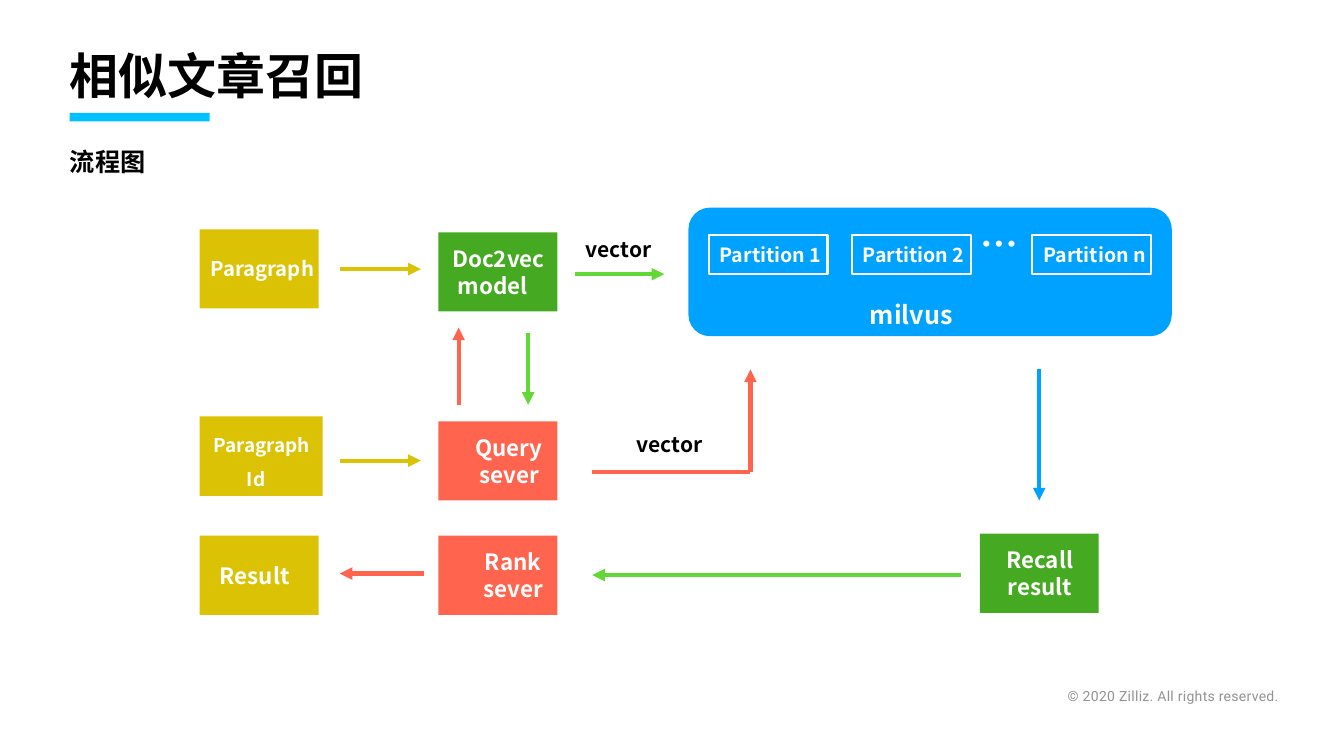
"""Draw the flow chart of similar article recall on an 80 by 45 grid."""
from dataclasses import dataclass

from lxml.etree import SubElement as Sub
from pptx import Presentation as Deck
from pptx.dml.color import RGBColor as Rgb
from pptx.enum.shapes import MSO_CONNECTOR as Link, MSO_SHAPE as Kind
from pptx.enum.text import MSO_ANCHOR as Anchor, PP_ALIGN as Align
from pptx.oxml.ns import qn
from pptx.util import Inches, Pt

WIDE, HIGH = Inches(26.67), Inches(15)
COLS, ROWS = 80, 45
FONT = "Noto Sans CJK SC"
HUES = {
    "black": "000000", "white": "FFFFFF", "grey": "929292", "cyan": "00C1FF",
    "blue": "00A2FF", "gold": "DCC205", "green": "45AA21", "lime": "61D836",
    "red": "FF644E",
}
CARD_W, CARD_H = 7.08, 4.71
LEFT, MID = 11.88, 26.1
PAD = 0.18
DENT = 0.66


@dataclass(frozen=True)
class Box:
    left: float
    top: float
    wide: float = CARD_W
    high: float = CARD_H


@dataclass(frozen=True)
class Type:
    size: float
    hue: str = "white"
    align: Align = Align.CENTER
    dent: float = 0
    pitch: float = 0
    wrap: bool = True
    pads: tuple[float, float] = (PAD, PAD)
    bold: bool = True
    font: str = FONT


@dataclass(frozen=True)
class Card:
    text: str
    box: Box
    hue: str
    type: Type
    edge: bool = False


@dataclass(frozen=True)
class Label:
    text: str
    box: Box
    type: Type


@dataclass(frozen=True)
class Arrow:
    start: tuple[float, float]
    end: tuple[float, float]
    hue: str
    head: bool = True


def col(num: float) -> int:
    return round(num * WIDE / COLS)


def row(num: float) -> int:
    return round(num * HIGH / ROWS)


def place(box: Box) -> tuple[int, int, int, int]:
    return col(box.left), row(box.top), col(box.wide), row(box.high)


def tint(name: str) -> Rgb:
    return Rgb.from_string(HUES[name])


def put(obj: object, form: dict) -> None:
    for key, value in form.items():
        setattr(obj, key, value)


def write(shape, text: str, type: Type, edge: float = 0) -> None:
    frame = shape.text_frame
    put(frame, {
        "word_wrap": type.wrap, "vertical_anchor": Anchor.MIDDLE,
        "margin_left": col(type.pads[0]), "margin_right": col(type.pads[1]),
        "margin_top": row(edge), "margin_bottom": row(edge),
    })
    frame.text = text
    for para in frame.paragraphs:
        para.alignment = type.align
        if type.pitch:
            para.line_spacing = Pt(type.size * type.pitch)
        if type.dent:
            para._p.get_or_add_pPr().set("indent", str(col(type.dent)))
        for run in para.runs:
            put(run.font, {"name": type.font, "size": Pt(type.size), "bold": type.bold})
            run.font.color.rgb = tint(type.hue)
            props = run._r.get_or_add_rPr()
            Sub(props, qn("a:ea")).set("typeface", type.font)


def block(slide, kind: Kind, box: Box, hue: str, edge: bool = False):
    shape = slide.shapes.add_shape(kind, *place(box))
    shape.shadow.inherit = False
    shape.fill.solid()
    shape.fill.fore_color.rgb = tint(hue)
    if edge:
        shape.line.color.rgb = tint("white")
        shape.line.width = Pt(3)
    else:
        shape.line.fill.background()
    return shape


def card(slide, item: Card) -> None:
    write(block(slide, Kind.RECTANGLE, item.box, item.hue, item.edge), item.text, item.type)


def label(slide, item: Label):
    shape = slide.shapes.add_textbox(*place(item.box))
    write(shape, item.text, item.type, PAD)
    return shape


def arrow(slide, item: Arrow) -> None:
    (left, top), (right, low) = item.start, item.end
    line = slide.shapes.add_connector(Link.STRAIGHT, col(left), row(top), col(right), row(low))
    line.line.color.rgb = tint(item.hue)
    line.line.width = Pt(6)
    if item.head:
        Sub(line.line._get_or_add_ln(), qn("a:tailEnd")).set("type", "triangle")
    Sub(line._element.spPr, qn("a:effectLst"))


def node(left: float, right: float) -> Type:
    return Type(32, dent=DENT, pitch=1.2, pads=(left, right))


FLAT = {"align": Align.LEFT, "dent": DENT, "pads": (0, 0)}
PART = Type(28, **FLAT)
NOTE = Type(30, "black", wrap=False)
CARDS = [
    Card("Paragraph", Box(LEFT, 13.65), "gold", Type(29, **FLAT)),
    Card("Paragraph Id", Box(LEFT, 24.78, 7.32, 4.74), "gold",
         Type(27, dent=DENT, pitch=1.8, pads=(0, 0.6))),
    Card("Result", Box(LEFT, 31.89), "gold", Type(32, dent=DENT, pads=(0, 1.17))),
    Card("Doc2vec model", Box(MID, 13.83), "green", node(0, 0.6)),
    Card("Query\nsever", Box(MID, 25.08), "red", node(0.66, 0)),
    Card("Rank\nsever", Box(MID, 31.89), "red", node(1.14, 0)),
    Card("Recall\nresult", Box(58.32, 31.77), "green", node(0, 0.6)),
] + [
    Card(f"Partition {name}", Box(left, 14.01, CARD_W, 2.31), "blue", PART, True)
    for name, left in (("1", 42.18), ("2", 50.7), ("n", 61.44))
]
LABELS = [
    Label("相似文章召回", Box(3.96, 2.13, 50, 4.71), Type(70, "black", Align.LEFT)),
    Label("流程图", Box(3.96, 8.52, 4.89, 2.16), Type(36, "black", wrap=False)),
    Label("vector", Box(34.62, 13.92, 4.41, 1.86), NOTE),
    Label("vector", Box(37.47, 25.5, 4.77, 1.86), NOTE),
    Label("…", Box(57.51, 12.93, 3.93, 3.06), Type(54, wrap=False)),
    Label("milvus", Box(51.3, 17.61, 5.88, 2.16), Type(36, wrap=False)),
]
ARROWS = [
    Arrow((20.22, 16.02), (25.05, 16.02), "gold"),
    Arrow((20.22, 27.42), (25.05, 27.42), "gold"),
    Arrow((34.2, 16.32), (39.54, 16.32), "lime"),
    Arrow((27.3, 24.09), (27.3, 19.5), "red"),
    Arrow((31.44, 19.8), (31.44, 24.09), "lime"),
    Arrow((44.67, 28.11), (44.67, 21.99), "red"),
    Arrow((35.25, 28.11), (44.67, 28.11), "red", False),
    Arrow((61.86, 21.99), (61.86, 29.79), "blue"),
    Arrow((57.18, 34.23), (35.25, 34.23), "lime"),
    Arrow((25.23, 34.14), (20.22, 34.14), "red"),
]
RIGHTS = Label("© 2020 Zilliz. All rights reserved.", Box(48.18, 40.65, 28.11, 1.32),
               Type(20, "grey", Align.RIGHT, bold=False, font="Roboto"))


def main() -> None:
    deck = Deck()
    put(deck, {"slide_width": WIDE, "slide_height": HIGH})
    slide = deck.slides.add_slide(deck.slide_layouts[6])
    block(slide, Kind.RECTANGLE, Box(4.14, 6.72, 8.34, 0.51), "cyan")
    block(slide, Kind.ROUNDED_RECTANGLE, Box(40.98, 12.36, 28.77, 7.65), "blue")
    for draw, items in ((card, CARDS), (label, LABELS), (arrow, ARROWS)):
        for item in items:
            draw(slide, item)
    para = label(slide, RIGHTS).text_frame.paragraphs[0]
    para.line_spacing = 1.2
    para.runs[0]._r.get_or_add_rPr().set("spc", "40")
    deck.save("out.pptx")


if __name__ == "__main__":
    main()
